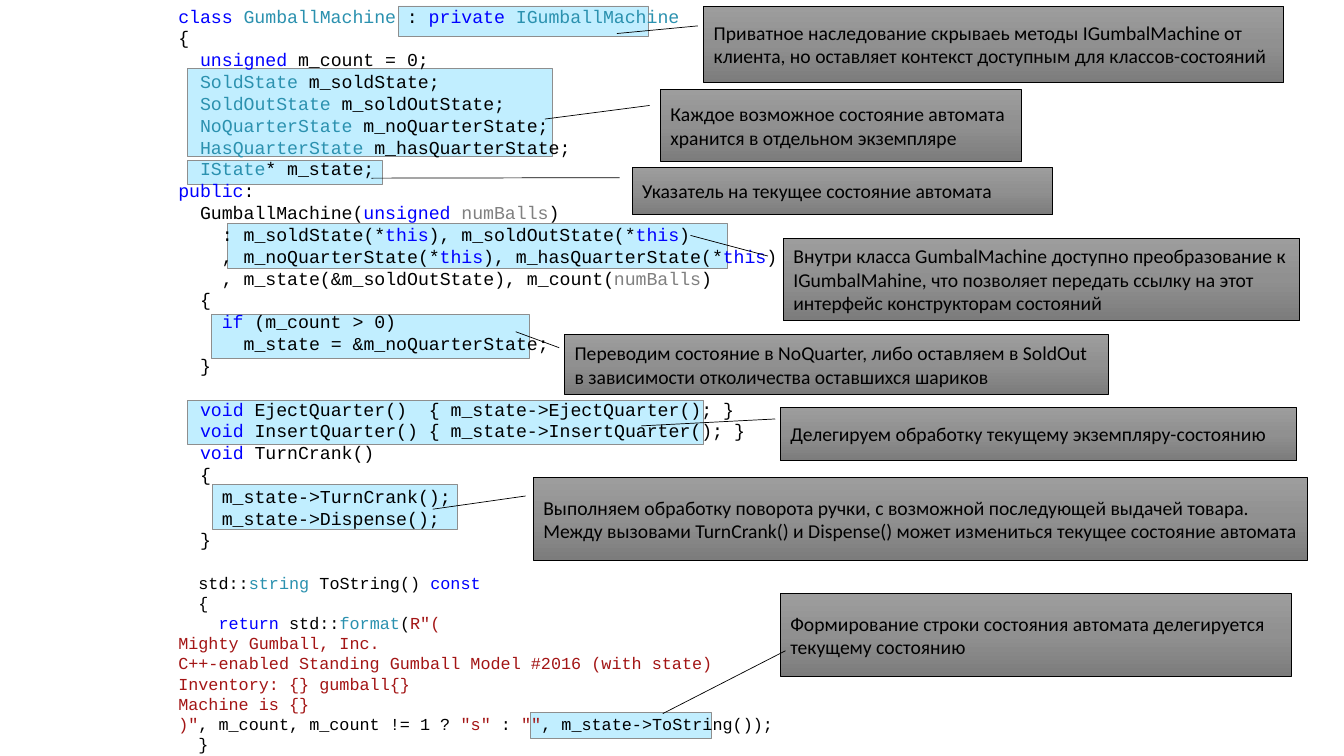
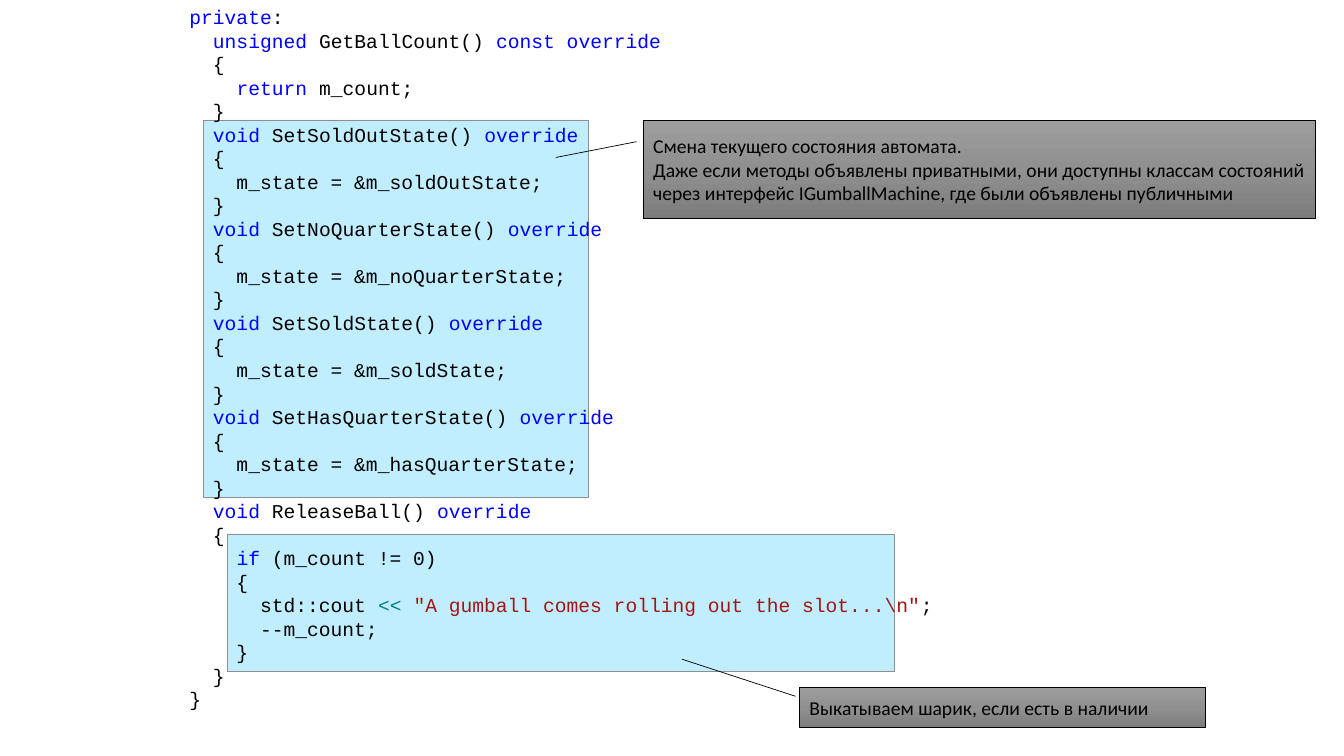
import copy

import pptx
import pptx.dml.color
import pptx.enum.shapes
import pptx.enum.text
import pptx.oxml
import pptx.oxml.ns
import pptx.util
from pptx.util import Inches

COLORS = {
    "text": "000000",
    "keyword": "0000FF",
    "type": "2B91AF",
    "argument": "808080",
    "string": "A31515",
    "operator": "008080",
    "highlight": "85DFFF",
    "highlight_line": "8E8E8E",
}
CALLOUT_GRADIENT = [(0, "9D9D9D"), (0.5, "909090"), (1, "7C7C7C")]
CODE_FONT, CALLOUT_FONT = "Courier New", "Calibri"
CALLOUT_SIZE = 14
LINE_HEIGHT = 1.2

# In code, § and a letter switch the colour until the next mark.
MARKS = {"n": "text", "k": "keyword", "t": "type", "a": "argument",
         "s": "string", "o": "operator"}

CLASS_HEAD = """\
§kclass §tGumballMachine§n : §kprivate §tIGumballMachine
{
  §kunsigned §nm_count = 0;
  §tSoldState §nm_soldState;
  §tSoldOutState §nm_soldOutState;
  §tNoQuarterState §nm_noQuarterState;
  §tHasQuarterState §nm_hasQuarterState;
  §tIState§n* m_state;
§kpublic§n:
  GumballMachine(§kunsigned §anumBalls§n)
    : m_soldState(*§kthis§n), m_soldOutState(*§kthis§n)
    , m_noQuarterState(*§kthis§n), m_hasQuarterState(*§kthis§n)
    , m_state(&m_soldOutState), m_count(§anumBalls§n)
  {
    §kif§n (m_count > 0)
      m_state = &m_noQuarterState;
  }"""

ACTIONS = """\
  §kvoid §nEjectQuarter()  { m_state->EjectQuarter(); }
  §kvoid §nInsertQuarter() { m_state->InsertQuarter(); }
  §kvoid §nTurnCrank()
  {
    m_state->TurnCrank();
    m_state->Dispense();
  }"""

TO_STRING = """\
  std::§tstring §nToString() §kconst
  {
    §kreturn§n std::§tformat§n(§sR"(
§sMighty Gumball, Inc.
§sC++-enabled Standing Gumball Model #2016 (with state)
§sInventory: {} gumball{}
§sMachine is {}
§s)"§n, m_count, m_count != 1 ? §s"s"§n : §s""§n, m_state->ToString());
  }"""

PRIVATE_PART = """\
§kprivate§n:
  §kunsigned §nGetBallCount() §kconst override
  {
    §kreturn §nm_count;
  }
  §kvoid §nSetSoldOutState() §koverride
  {
    m_state = &m_soldOutState;
  }
  §kvoid §nSetNoQuarterState() §koverride
  {
    m_state = &m_noQuarterState;
  }
  §kvoid §nSetSoldState() §koverride
  {
    m_state = &m_soldState;
  }
  §kvoid §nSetHasQuarterState() §koverride
  {
    m_state = &m_hasQuarterState;
  }
  §kvoid §nReleaseBall() §koverride
  {
    §kif§n (m_count != 0)
    {
      std::cout §o<< §s"A gumball comes rolling out the slot...\\n"§n;
      --m_count;
    }
  }
}"""

# Boxes are (left, top, width, height) in inches. A callout's pointer is
# (start y, start x, end y, end x) as fractions of its box.
SLIDES = [
    {
        "highlights": [
            (5.26, 7.07, 1.8, 0.26),
            (2.11, 4.81, 2.43, 0.44),
            (2.1, 3.12, 3.15, 0.44),
            (1.86, 3.97, 5.12, 0.44),
            (2.26, 2.22, 4.96, 0.44),
            (1.86, 1.59, 1.93, 0.24),
            (1.86, 0.68, 3.62, 0.87),
            (3.95, 0.06, 2.48, 0.3),
        ],
        "code_box": (1.67, 0, 10.83, 7.61),
        "code": [(13, CLASS_HEAD), (13, ACTIONS), (12, TO_STRING)],
        "callouts": [
            ((6.55, 0.89, 3.58, 0.71), (0.22, -0.03, 0.41, -0.32),
             ["Каждое возможное состояние автомата хранится в отдельном экземпляре"]),
            ((6.27, 1.66, 4.17, 0.47), (0.22, -0.03, 0.23, -0.62),
             ["Указатель на текущее состояние автомата"]),
            ((6.98, 0.06, 5.75, 0.76), (0.26, -0.01, 0.36, -0.15),
             ["Приватное наследование скрываеь методы IGumbalMachine от клиента, "
              "но оставляет контекст доступным для классов-состояний"]),
            ((7.77, 2.36, 5.12, 0.82), (0.22, -0.03, -0.03, -0.18),
             ["Внутри класса GumbalMachine доступно преобразование к IGumbalMahine, "
              "что позволяет передать ссылку на этот интерфейс конструкторам состояний"]),
            ((5.6, 3.32, 5.39, 0.59), (0.22, -0.01, -0.05, -0.09),
             ["Переводим состояние в NoQuarter, либо оставляем в SoldOut "
              "в зависимости отколичества оставшихся шариков"]),
            ((7.74, 4.04, 5.12, 0.53), (0.22, -0.01, 0.35, -0.27),
             ["Делегируем обработку текущему экземпляру-состоянию"]),
            ((5.29, 4.74, 7.68, 0.82), (0.22, -0.01, 0.38, -0.13),
             ["Выполняем обработку поворота ручки, с возможной последующей выдачей товара.",
              "Между вызовами TurnCrank() и Dispense() может измениться текущее "
              "состояние автомата"]),
            ((7.74, 5.89, 5.07, 0.82), (0.69, 0.01, 1.45, -0.23),
             ["Формирование строки состояния автомата делегируется текущему состоянию"]),
        ],
    },
    {
        "highlights": [(2.26, 5.3, 6.61, 1.36), (2.02, 1.19, 3.82, 3.74)],
        "code_box": (1.78, 0, 9.21, 7.17),
        "code": [(14, PRIVATE_PART)],
        "callouts": [
            ((6.38, 1.19, 6.67, 0.98), (0.22, -0.01, 0.38, -0.13),
             ["Смена текущего состояния автомата.",
              "Даже если методы объявлены приватными, они доступны классам состояний "
              "через интерфейс IGumballMachine, где были объявлены публичными"]),
            ((7.93, 6.82, 4.02, 0.4), (0.22, -0.01, -0.7, -0.29),
             ["Выкатываем шарик, если есть в наличии"]),
        ],
    },
]


def rgb(value):
    return pptx.dml.color.RGBColor.from_string(value)


def add_text(paragraph, text, *, font, size, color="text"):
    run = paragraph.add_run()
    run.text = text
    run.font.name = font
    run.font.size = pptx.util.Pt(size)
    run.font.color.rgb = rgb(COLORS[color])


def next_paragraph(frame, index):
    return frame.add_paragraph() if index else frame.paragraphs[0]


def add_outlined_shape(slide, kind, box, line_color):
    shape = slide.shapes.add_shape(kind, *map(Inches, box))
    shape.shadow.inherit = False
    shape.line.color.rgb = rgb(COLORS[line_color])
    shape.line.width = pptx.util.Pt(0.5)
    return shape


def add_highlight(slide, box):
    shape = add_outlined_shape(
        slide, pptx.enum.shapes.MSO_SHAPE.RECTANGLE, box, "highlight_line")
    shape.fill.solid()
    shape.fill.fore_color.rgb = rgb(COLORS["highlight"])
    qn = pptx.oxml.ns.qn
    color = shape._element.spPr.find(qn("a:solidFill")).find(qn("a:srgbClr"))
    color.append(pptx.oxml.parse_xml(
        f'<a:alpha {pptx.oxml.ns.nsdecls("a")} val="50000"/>'))


def add_code(slide, box, blocks):
    """Write blocks of marked code, one blank line apart."""
    frame = slide.shapes.add_textbox(*map(Inches, box)).text_frame
    frame.word_wrap = True
    frame.auto_size = pptx.enum.text.MSO_AUTO_SIZE.SHAPE_TO_FIT_TEXT
    lines = [(size, line, block_index > 0 and line_index == 0)
             for block_index, (size, code) in enumerate(blocks)
             for line_index, line in enumerate(code.splitlines())]
    for index, (size, line, starts_block) in enumerate(lines):
        paragraph = next_paragraph(frame, index)
        paragraph.line_spacing = pptx.util.Pt(LINE_HEIGHT * size)
        if starts_block:
            paragraph.space_before = pptx.util.Pt(LINE_HEIGHT * blocks[0][0])
        plain, *marked = line.split("§")
        if plain:
            add_text(paragraph, plain, font=CODE_FONT, size=size)
        for part in marked:
            add_text(paragraph, part[1:], font=CODE_FONT, size=size,
                     color=MARKS[part[0]])


def fill_gradient(shape):
    shape.fill.gradient()
    shape.fill.gradient_angle = 270
    stop_list = shape._element.spPr.find(
        pptx.oxml.ns.qn("a:gradFill")).find(pptx.oxml.ns.qn("a:gsLst"))
    stop_list.append(copy.deepcopy(stop_list[0]))
    for stop, (position, color) in zip(shape.fill.gradient_stops, CALLOUT_GRADIENT):
        stop.position = position
        stop.color.rgb = rgb(color)


def add_callout(slide, box, pointer, texts):
    shape = add_outlined_shape(
        slide, pptx.enum.shapes.MSO_SHAPE.LINE_CALLOUT_1, box, "text")
    fill_gradient(shape)
    for index, value in enumerate(pointer):
        shape.adjustments[index] = value
    frame = shape.text_frame
    frame.word_wrap = True
    frame.vertical_anchor = pptx.enum.text.MSO_ANCHOR.MIDDLE
    for index, text in enumerate(texts):
        paragraph = next_paragraph(frame, index)
        paragraph.alignment = pptx.enum.text.PP_ALIGN.LEFT
        add_text(paragraph, text, font=CALLOUT_FONT, size=CALLOUT_SIZE)


def main():
    presentation = pptx.Presentation()
    presentation.slide_width = Inches(13.33)
    presentation.slide_height = Inches(7.5)
    blank_layout = presentation.slide_layouts[6]
    for content in SLIDES:
        slide = presentation.slides.add_slide(blank_layout)
        for box in content["highlights"]:
            add_highlight(slide, box)
        add_code(slide, content["code_box"], content["code"])
        for box, pointer, texts in content["callouts"]:
            add_callout(slide, box, pointer, texts)
    presentation.save("out.pptx")


if __name__ == "__main__":
    main()
